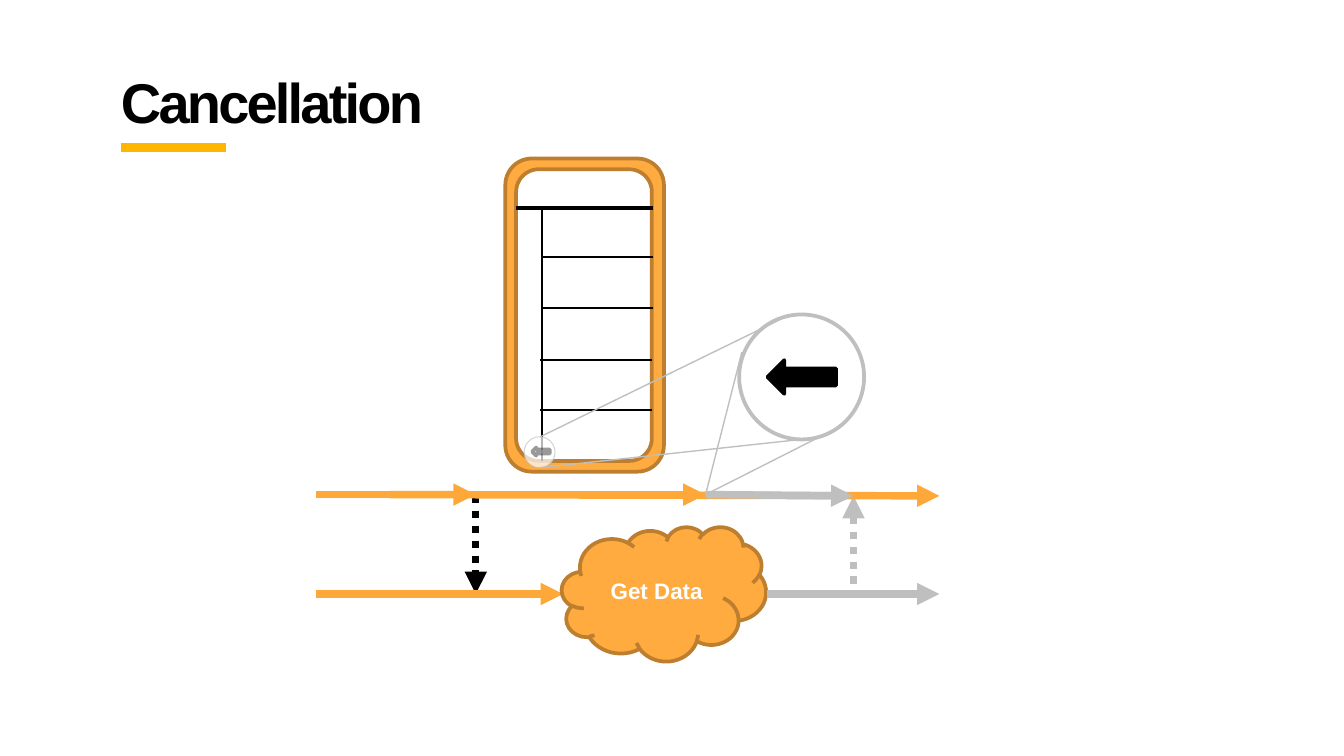
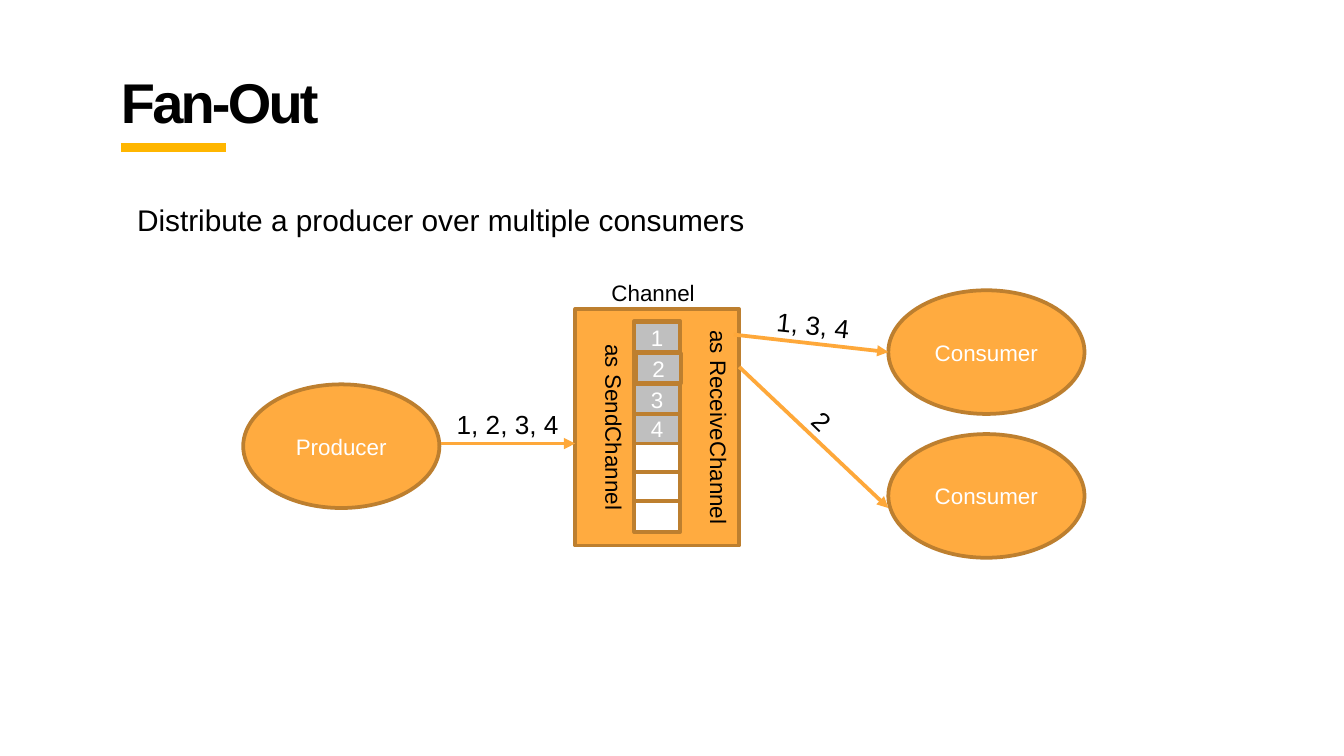
from lxml.etree import SubElement
from pptx import Presentation
from pptx.dml.color import RGBColor
from pptx.enum.dml import MSO_LINE
from pptx.enum.shapes import MSO_CONNECTOR, MSO_SHAPE
from pptx.enum.text import MSO_ANCHOR, MSO_AUTO_SIZE, PP_ALIGN
from pptx.oxml.ns import qn
from pptx.util import Inches, Pt

FONT = "Arial"
BLACK = RGBColor(0x00, 0x00, 0x00)
WHITE = RGBColor(0xFF, 0xFF, 0xFF)
GRAY = RGBColor(0xBF, 0xBF, 0xBF)
ORANGE = RGBColor(0xFF, 0xAB, 0x40)
ARROW = RGBColor(0xFE, 0xA8, 0x3A)
BROWN = RGBColor(0xBD, 0x7F, 0x2F)
YELLOW = RGBColor(0xFF, 0xB6, 0x00)


def add_box(shapes, kind, box, fill, line, width=2, text="", bold=False, fill_alpha=100, line_alpha=100):
    sp = shapes.add_shape(kind, *[Inches(v) for v in box])
    sp.shadow.inherit = False
    sp.fill.solid()
    sp.fill.fore_color.rgb = fill
    sp.line.color.rgb = line
    sp.line.width = Pt(width)
    for parent, alpha in ((sp._element.spPr, fill_alpha), (sp.line._ln, line_alpha)):
        if alpha < 100:
            clr = parent.find(qn("a:solidFill")).find(qn("a:srgbClr"))
            SubElement(clr, qn("a:alpha")).set("val", str(alpha * 1000))
    if text:
        tf = sp.text_frame
        tf.vertical_anchor = MSO_ANCHOR.MIDDLE
        p = tf.paragraphs[0]
        p.alignment = PP_ALIGN.CENTER
        r = p.add_run()
        r.text = text
        r.font.name = FONT
        r.font.size = Pt(12)
        r.font.bold = bold
        r.font.color.rgb = WHITE
    return sp


def add_line(shapes, ends, color, width, arrow=None, dash=None):
    c = shapes.add_connector(MSO_CONNECTOR.STRAIGHT, *[Inches(v) for v in ends])
    c.line.color.rgb = color
    c.line.width = Pt(width)
    if dash:
        c.line.dash_style = dash
    if arrow:
        SubElement(c.line._ln, qn(arrow)).set("type", "triangle")
    SubElement(c._element.spPr, qn("a:effectLst"))
    return c


HEAD, TAIL = "a:headEnd", "a:tailEnd"

prs = Presentation()
prs.slide_width = Inches(10)
prs.slide_height = prs.slide_width * 9 // 16

slides = []
for title, layout in (("Cancellation", 5), ("Fan-Out", 1)):
    s = prs.slides.add_slide(prs.slide_layouts[layout])
    s.background.fill.solid()
    s.background.fill.fore_color.rgb = WHITE
    sp = s.shapes.title
    sp.left, sp.top, sp.width, sp.height = [Inches(v) for v in (0.8, 0.4, 8.35, 0.63)]
    tf = sp.text_frame
    tf.auto_size = MSO_AUTO_SIZE.NONE
    tf.vertical_anchor = MSO_ANCHOR.TOP
    tf.margin_left = tf.margin_right = tf.margin_top = tf.margin_bottom = Inches(0.1)
    p = tf.paragraphs[0]
    p.alignment = PP_ALIGN.LEFT
    r = p.add_run()
    r.text = title
    r.font.name = FONT
    r.font.size = Pt(30)
    r.font.bold = True
    r.font.color.rgb = BLACK
    r._r.get_or_add_rPr().set("spc", "-150")
    slides.append(s)

s = slides[0]
add_line(s.shapes, (0.9, 1.1, 1.68, 1.1), YELLOW, 5)
add_line(s.shapes, (6.35, 3.69, 6.35, 4.42), GRAY, 4, HEAD, MSO_LINE.ROUND_DOT)
add_line(s.shapes, (3.54, 3.69, 3.54, 4.42), BLACK, 4, TAIL, MSO_LINE.ROUND_DOT)

phone = s.shapes.add_group_shape().shapes
add_box(phone, MSO_SHAPE.ROUNDED_RECTANGLE, (3.76, 1.18, 1.18, 2.33), ORANGE, BROWN)
add_box(phone, MSO_SHAPE.ROUNDED_RECTANGLE, (3.84, 1.26, 1.01, 2.17), WHITE, BROWN)
add_line(phone, (3.84, 1.55, 4.86, 1.55), BLACK, 2)
add_line(phone, (4.03, 1.55, 4.03, 3.43), BLACK, 1)
for x, y in ((4.03, 1.91), (4.03, 2.29), (4.02, 2.68), (4.02, 3.05)):
    add_line(phone, (x, y, x + 0.83, y), BLACK, 1)

add_line(s.shapes, (2.9, 3.68, 6.99, 3.69), ARROW, 4, TAIL)
add_line(s.shapes, (2.35, 4.42, 4.19, 4.42), ARROW, 4, TAIL)
add_box(s.shapes, MSO_SHAPE.CLOUD, (4.18, 3.92, 1.52, 1), ORANGE, BROWN, text="Get Data", bold=True)
add_line(s.shapes, (5.71, 4.42, 6.99, 4.42), GRAY, 4, TAIL)

add_box(s.shapes, MSO_SHAPE.OVAL, (5.5, 2.34, 0.93, 0.93), WHITE, GRAY)
sp = add_box(s.shapes, MSO_SHAPE.RIGHT_ARROW, (5.71, 2.68, 0.51, 0.25), BLACK, BLACK)
sp.rotation = 180
add_box(s.shapes, MSO_SHAPE.OVAL, (3.9, 3.25, 0.23, 0.23), WHITE, GRAY, 0.5, fill_alpha=70, line_alpha=69)
sp = add_box(s.shapes, MSO_SHAPE.RIGHT_ARROW, (3.96, 3.33, 0.13, 0.06), WHITE, BLACK,
             fill_alpha=70, line_alpha=40)
sp.rotation = 180

for ends in ((4.02, 3.25, 5.8, 2.38), (4.02, 3.48, 5.96, 3.27)):
    add_line(s.shapes, ends, GRAY, 0.75)
add_line(s.shapes, (2.44, 3.68, 5.25, 3.68), ARROW, 4, TAIL)
add_line(s.shapes, (2.35, 3.68, 3.54, 3.68), ARROW, 4, TAIL)
add_line(s.shapes, (5.25, 3.68, 6.35, 3.69), GRAY, 4, TAIL)
for x, y in ((5.52, 2.62), (6.18, 3.21)):
    add_line(s.shapes, (5.25, 3.68, x, y), GRAY, 0.75)

s = slides[1]
sp = s.placeholders[1]
sp.left, sp.top, sp.width, sp.height = [Inches(v) for v in (0.8, 1.4, 8.35, 3.59)]
tf = sp.text_frame
tf.auto_size = MSO_AUTO_SIZE.NONE
tf.vertical_anchor = MSO_ANCHOR.TOP
tf.margin_left = tf.margin_right = tf.margin_top = tf.margin_bottom = Inches(0.1)
p = tf.paragraphs[0]
pPr = p._p.get_or_add_pPr()
pPr.set("marL", str(Inches(0.12)))
pPr.set("indent", "0")
SubElement(pPr, qn("a:buNone"))
p.space_before = Pt(0)
r = p.add_run()
r.text = "Distribute a producer over multiple consumers"
r.font.name = FONT
r.font.size = Pt(16)
r.font.color.rgb = BLACK

add_line(s.shapes, (0.9, 1.1, 1.68, 1.1), YELLOW, 5)
add_box(s.shapes, MSO_SHAPE.RECTANGLE, (4.28, 2.3, 1.22, 1.76), ORANGE, BROWN)
add_box(s.shapes, MSO_SHAPE.RECTANGLE, (4.72, 2.39, 0.34, 1.57), WHITE, BROWN)
for label, x, y in (("1", 4.72, 2.4), ("2", 4.73, 2.63), ("3", 4.72, 2.86),
                    ("4", 4.72, 3.08), ("", 4.72, 3.3), ("", 4.72, 3.51)):
    add_box(s.shapes, MSO_SHAPE.RECTANGLE, (x, y, 0.34, 0.22), GRAY if label else WHITE, BROWN, text=label)

for label, x, y in (("Producer", 1.81, 2.86), ("Consumer", 6.61, 3.23), ("Consumer", 6.61, 2.16)):
    add_box(s.shapes, MSO_SHAPE.OVAL, (x, y, 1.46, 0.92), ORANGE, BROWN, text=label)

for ends in ((3.28, 3.3, 4.28, 3.3), (5.46, 2.49, 6.61, 2.62), (5.5, 2.73, 6.61, 3.78)):
    add_line(s.shapes, ends, ARROW, 2, TAIL)

for text, box, size, rotation, vertical in (
    ("as SendChannel", (4.32, 2.3, 0.4, 1.76), 12, 0, True),
    ("as ReceiveChannel", (5.1, 2.3, 0.4, 1.76), 12, 0, True),
    ("Channel", (4.22, 2.03, 1.28, 0.3), 12, 0, False),
    ("1, 3, 4", (5.68, 2.25, 0.75, 0.34), 14, 6, False),
    ("2", (5.96, 2.97, 0.31, 0.34), 14, 44, False),
    ("1, 2, 3, 4", (3.3, 2.99, 0.97, 0.34), 14, 0, False),
):
    sp = s.shapes.add_textbox(*[Inches(v) for v in box])
    sp.rotation = rotation
    tf = sp.text_frame
    tf.word_wrap = size == 12
    tf.auto_size = MSO_AUTO_SIZE.SHAPE_TO_FIT_TEXT
    if vertical:
        tf._txBody.bodyPr.set("vert", "vert")
    p = tf.paragraphs[0]
    p.alignment = PP_ALIGN.CENTER if size == 12 else PP_ALIGN.LEFT
    r = p.add_run()
    r.text = text
    r.font.name = FONT
    r.font.size = Pt(size)
    r.font.color.rgb = BLACK

prs.save("out.pptx")
